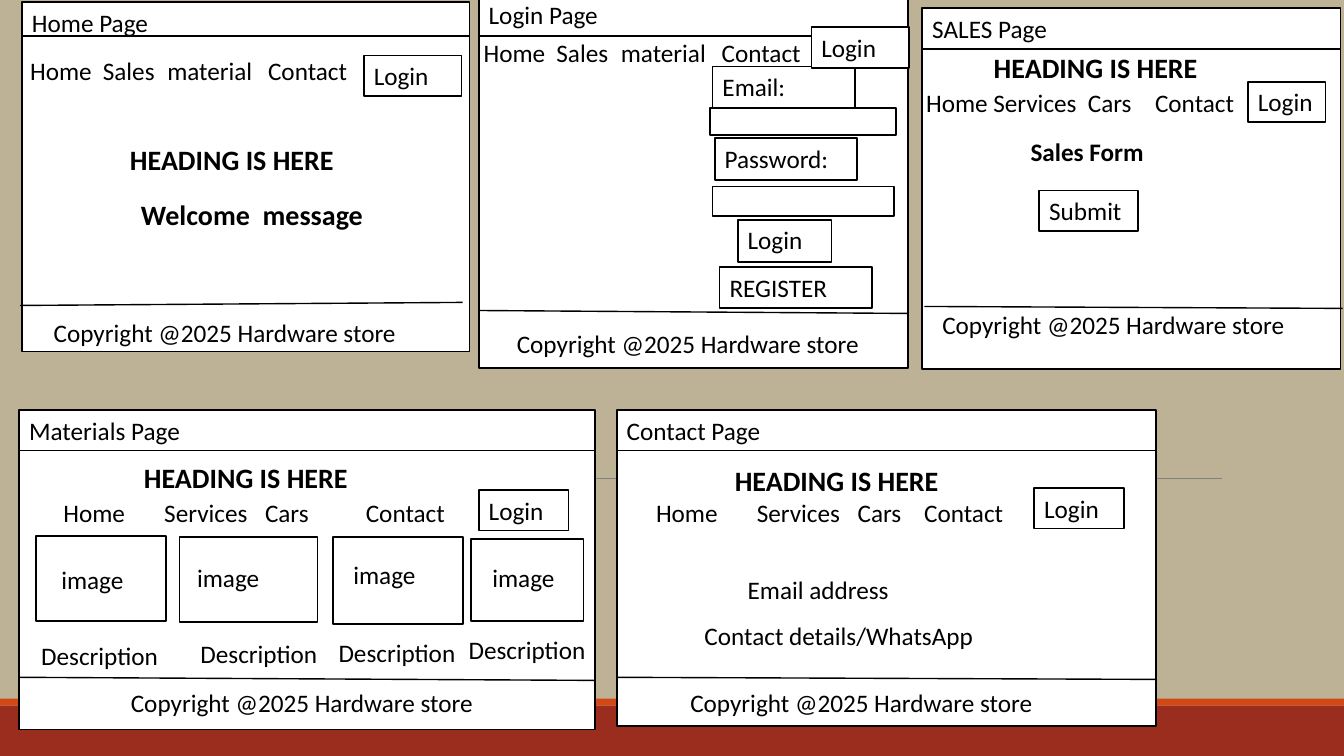
"""Build a slide of five wireframe pages for a hardware store site."""
from dataclasses import dataclass

from lxml import etree
from pptx import Presentation
from pptx import util as u
from pptx.dml.color import RGBColor
from pptx.enum import shapes, text
from pptx.oxml.ns import qn

FONT = "Calibri"
BLACK, WHITE = "000000", "FFFFFF"
HEADING = "HEADING IS HERE"
COPYRIGHT = "Copyright @2025 Hardware store"
STORE_MENU = ("Home", "Sales", "material", "Contact")
SERVICE_MENU = ("Home", "Services", "Cars", "Contact")
STORE_STOPS = (52, 98, 170)
LINE_HEIGHT = 29


@dataclass
class Box:
    left: float
    top: float
    width: float
    height: float = LINE_HEIGHT
    caption: str = ""
    fill: str = WHITE
    line: str = BLACK


@dataclass
class Label:
    caption: str
    left: float
    top: float
    width: float
    size: float = 18
    bold: bool = False
    centred: bool = False
    stops: tuple[float, ...] = ()


@dataclass
class Rule:
    x1: float
    y1: float
    x2: float
    y2: float
    colour: str = BLACK
    weight: float = 1


@dataclass
class Page:
    bar: Box
    body_top: float
    body_height: float
    footer: Rule
    copyright: Label


def nav(words: tuple[str, ...], left: float, top: float, width: float,
        stops: tuple[float, ...]) -> Label:
    return Label("\t".join(words), left, top, width, stops=stops)


def heading(left: float, top: float) -> Label:
    return Label(HEADING, left, top, 204.5, 20, True, True)


def notice(left: float, top: float, width: float) -> Label:
    return Label(COPYRIGHT, left, top, width, centred=True)


PAGES = [
    Page(Box(15.8, 1.4, 319.7, 24.5, "Home Page"), 23, 228.2,
         Rule(14.4, 218.2, 330.5, 216), notice(25.9, 223.2, 269.3)),
    Page(Box(658.8, 5.8, 298.8, 28.8, "SALES Page"), 35.3, 228.2,
         Rule(660.2, 218.9, 959, 220.3), notice(643.7, 217.4, 303.1)),
    Page(Box(13.7, 293, 411.1, 28.8, "Materials Page"), 318.2, 203,
         Rule(14.4, 483.8, 424.8, 486), notice(21.6, 487.4, 388.1)),
    Page(Box(440.6, 293, 385.2, 28.8, "Contact Page"), 319, 199.4,
         Rule(440.6, 483.8, 825.8, 485.3), notice(421.2, 487.4, 388.1)),
    Page(Box(342, -4.3, 306.7, 30.2, "Login Page"), 22.3, 240.5,
         Rule(342, 221.8, 648.7, 223.9), notice(339.8, 231.1, 303.1)),
]

BOXES = [
    Box(509, 47.5, 101.5, 30.2, "Email:"),
    Box(506.9, 77, 133.2, 19.4),
    Box(510.5, 98.6, 101.5, 30.2, "Password:"),
    Box(509, 133.2, 129.6, 20.9),
    Box(527, 157, 67, 30.2, "Login"),
    Box(514, 190.8, 108.7, caption="REGISTER"),
    Box(742.3, 136.1, 70.6, caption="Submit"),
    Box(25.9, 383, 92.9, 60.5),
    Box(128.2, 383.8, 98.6, 60.5),
    Box(237.6, 383.8, 92.9, 61.9),
    Box(336.2, 385.2, 80.6, 58.3),
    Box(259.9, 39.6, 69.8, caption="Login"),
    Box(891.4, 58.3, 55.4, caption="Login"),
    Box(342, 349.9, 64.1, caption="Login"),
    Box(738.7, 348.5, 64.1, caption="Login"),
    Box(579.6, 19.4, 69.8, caption="Login"),
]

LABELS = [
    nav(STORE_MENU, 14.4, 36, 245, STORE_STOPS),
    nav(STORE_MENU, 338.4, 23, 241, STORE_STOPS),
    nav(SERVICE_MENU, 654.5, 59, 236, (48, 115.5, 163.5)),
    nav(SERVICE_MENU, 461.5, 351.4, 273, (72, 144, 191.5)),
    nav(SERVICE_MENU, 38.2, 351.4, 296.6, (72, 144, 216)),
    heading(63.4, 97.9),
    heading(680.4, 32.4),
    heading(495.4, 327.6),
    heading(73.4, 325.4),
    Label("Welcome  message", 93.6, 137.5, 188, 20, True),
    Label("Sales Form", 665.3, 93.6, 222.5, bold=True, centred=True),
    Label("Email address", 527, 406.8, 157),
    Label("Contact details/WhatsApp", 496.1, 439.2, 226),
    *(Label("image", left, top, 70) for left, top in
      ((36.7, 399.6), (133.7, 398.2), (245.3, 396), (344.6, 398.2))),
    *(Label("Description", left, top, 101) for left, top in
      ((22.3, 453.6), (136.1, 452.2), (234.7, 451.4), (327.6, 449.3))),
]


def rgb(colour: str) -> RGBColor:
    return RGBColor.from_string(colour)


def write(sp, label: Label) -> None:
    tf = sp.text_frame
    tf.word_wrap = True
    tf.vertical_anchor = text.MSO_ANCHOR.TOP
    tf.text = label.caption
    p = tf.paragraphs[0]
    p.alignment = text.PP_ALIGN.CENTER if label.centred else text.PP_ALIGN.LEFT
    if label.stops:
        tabs = etree.SubElement(p._p.get_or_add_pPr(), qn("a:tabLst"))
        for stop in label.stops:
            etree.SubElement(tabs, qn("a:tab"), pos=str(u.Pt(stop)), algn="l")
    for r in p.runs:
        r.font.name = FONT
        r.font.size = u.Pt(label.size)
        r.font.bold = label.bold
        r.font.color.rgb = rgb(BLACK)


def draw_box(s, box: Box) -> None:
    frame = map(u.Pt, (box.left, box.top, box.width, box.height))
    sp = s.shapes.add_shape(shapes.MSO_SHAPE.RECTANGLE, *frame)
    sp.shadow.inherit = False
    sp.fill.solid()
    sp.fill.fore_color.rgb = rgb(box.fill)
    if box.line:
        sp.line.color.rgb = rgb(box.line)
        sp.line.width = u.Pt(1.25)
    else:
        sp.line.fill.background()
    if box.caption:
        write(sp, Label(box.caption, box.left, box.top, box.width))


def draw_label(s, label: Label) -> None:
    frame = map(u.Pt, (label.left, label.top, label.width, LINE_HEIGHT))
    write(s.shapes.add_textbox(*frame), label)


def draw_rule(s, rule: Rule) -> None:
    ends = map(u.Pt, (rule.x1, rule.y1, rule.x2, rule.y2))
    cxn = s.shapes.add_connector(shapes.MSO_CONNECTOR.STRAIGHT, *ends)
    cxn.line.color.rgb = rgb(rule.colour)
    cxn.line.width = u.Pt(rule.weight)
    etree.SubElement(cxn._element.spPr, qn("a:effectLst"))


def draw_page(s, page: Page) -> None:
    draw_box(s, Box(page.bar.left, page.body_top, page.bar.width, page.body_height))
    draw_box(s, page.bar)
    draw_rule(s, page.footer)
    draw_label(s, page.copyright)


def main() -> None:
    prs = Presentation()
    prs.slide_width, prs.slide_height = u.Pt(960), u.Pt(540)
    s = prs.slides.add_slide(prs.slide_layouts[6])
    s.background.fill.solid()
    s.background.fill.fore_color.rgb = rgb("BDB196")
    draw_box(s, Box(0, 504, 960, 36, fill="9B2D1F", line=""))
    draw_box(s, Box(0, 499, 960, 5, fill="D34817", line=""))
    draw_rule(s, Rule(95, 342, 872.6, 342, "808080", 0.5))
    for page in PAGES:
        draw_page(s, page)
    for box in BOXES:
        draw_box(s, box)
    for label in LABELS:
        draw_label(s, label)
    prs.save("out.pptx")


if __name__ == "__main__":
    main()
